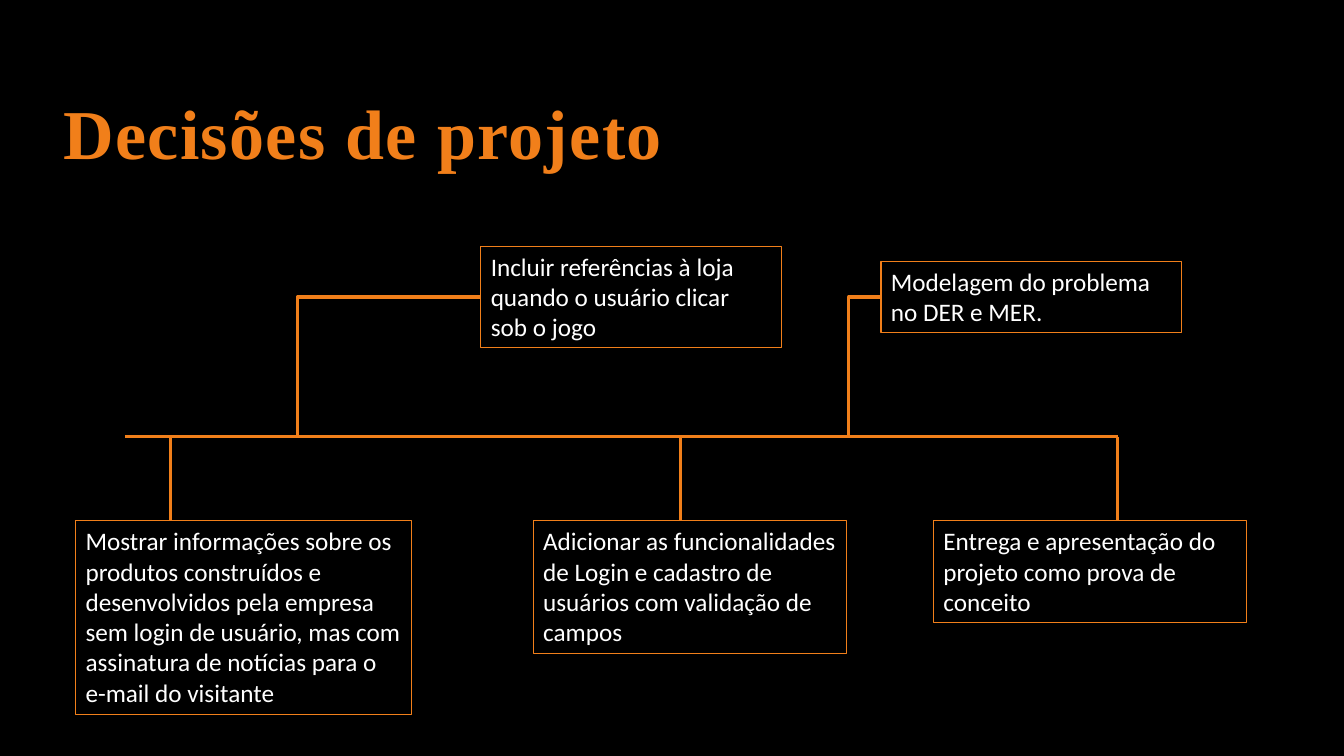
"""Build the project decisions timeline slide."""
from dataclasses import dataclass
from typing import Optional

from lxml.etree import SubElement
from pptx import Presentation
from pptx.dml.color import RGBColor
from pptx.enum.shapes import MSO_CONNECTOR as CONN, MSO_SHAPE as SHAPE
from pptx.enum.text import MSO_ANCHOR as ANCHOR, PP_ALIGN as ALIGN
from pptx.oxml.ns import qn
from pptx.util import Emu, Inches, Pt

BLACK = RGBColor(0x00, 0x00, 0x00)
ORANGE = RGBColor(0xF1, 0x7F, 0x1A)
WHITE = RGBColor(0xFF, 0xFF, 0xFF)

WIDTH, HEIGHT = Inches(13.33), Inches(7.5)
COLS, ROWS = 80, 45
AXIS_ROW, LOWER_ROW, UPPER_MID = 26, 31, 17.68
AXIS_START, AXIS_END = 7.44, 66.54
LINE_ROWS, PAD_ROWS = 1.82, 0.6


@dataclass(frozen=True)
class Decision:
    """A timeline decision; lengths are grid columns."""
    text: str
    left: float
    width: float
    lines: int
    stem: float
    above: bool = False

    @property
    def height(self) -> float:
        """Return the box height in grid rows."""
        return self.lines * LINE_ROWS + PAD_ROWS

    @property
    def top(self) -> float:
        """Return the top edge in grid rows."""
        return UPPER_MID - self.height / 2 if self.above else LOWER_ROW


DECISIONS = [
    Decision("Mostrar informações sobre os produtos construídos e desenvolvidos "
             "pela empresa sem login de usuário, mas com assinatura de notícias "
             "para o e-mail do visitante", 4.5, 20, 6, 10.14),
    Decision("Adicionar as funcionalidades de Login e cadastro de usuários com "
             "validação de campos", 31.74, 18.66, 4, 40.5),
    Decision("Modelagem do problema no DER e MER.", 52.44, 17.88, 2, 50.52, True),
    Decision("Incluir referências à loja quando o usuário clicar sob o jogo",
             28.62, 17.88, 3, 17.7, True),
    Decision("Entrega e apresentação do projeto como prova de conceito",
             55.56, 18.66, 3, AXIS_END),
]


def col(n: float) -> Emu:
    """Convert grid columns to a length."""
    return Emu(round(WIDTH * n / COLS))


def row(n: float) -> Emu:
    """Convert grid rows to a length."""
    return Emu(round(HEIGHT * n / ROWS))


def write(sp, text: str, *, font: str, size: float, color: RGBColor,
          bold: bool = False, spacing: Optional[float] = None,
          tracking: int = 0, anchor=ANCHOR.TOP) -> None:
    """Put formatted, left-aligned text in a shape."""
    tf = sp.text_frame
    tf.word_wrap = True
    tf.vertical_anchor = anchor
    p = tf.paragraphs[0]
    p.alignment = ALIGN.LEFT
    p.line_spacing = spacing
    r = p.add_run()
    r.text = text
    r.font.name, r.font.size, r.font.bold = font, Pt(size), bold
    r.font.color.rgb = color
    if tracking:
        r.font._element.set("spc", str(tracking))


def add_line(slide, x1: float, y1: float, x2: float, y2: float,
             elbow: bool = False) -> None:
    """Draw an orange connector; an elbow turns at its start column."""
    kind = CONN.ELBOW if elbow else CONN.STRAIGHT
    cxn = slide.shapes.add_connector(kind, col(x1), row(y1), col(x2), row(y2))
    cxn.line.color.rgb = ORANGE
    cxn.line.width = Pt(2.25)
    sp_pr = cxn._element.spPr
    SubElement(sp_pr, qn("a:effectLst"))
    if elbow:
        guides = sp_pr.find(qn("a:prstGeom")).find(qn("a:avLst"))
        SubElement(guides, qn("a:gd"), name="adj1", fmla="val 0")


def add_decision(slide, d: Decision) -> None:
    """Draw a decision box and its link to the axis."""
    if d.above:
        add_line(slide, d.stem, AXIS_ROW, d.left, UPPER_MID, elbow=True)
    else:
        add_line(slide, d.stem, AXIS_ROW, d.stem, LOWER_ROW)
    sp = slide.shapes.add_shape(SHAPE.RECTANGLE, col(d.left), row(d.top),
                                col(d.width), row(d.height))
    sp.shadow.inherit = False
    sp.fill.background()
    sp.line.color.rgb = ORANGE
    sp.line.width = Pt(0.75)
    write(sp, d.text, font="Calibri", size=18, color=WHITE)


def main() -> None:
    """Build and save the slide."""
    prs = Presentation()
    prs.slide_width, prs.slide_height = WIDTH, HEIGHT
    slide = prs.slides.add_slide(prs.slide_layouts[6])
    slide.background.fill.solid()
    slide.background.fill.fore_color.rgb = BLACK
    add_line(slide, AXIS_START, AXIS_ROW, AXIS_END, AXIS_ROW)
    for d in DECISIONS:
        add_decision(slide, d)
    title = slide.shapes.add_textbox(col(3.18), row(5.28), col(39.78), row(6.06))
    write(title, "Decisões de projeto", font="Times New Roman", size=50,
          color=ORANGE, bold=True, spacing=0.8, tracking=100,
          anchor=ANCHOR.MIDDLE)
    prs.save("out.pptx")


if __name__ == "__main__":
    main()
